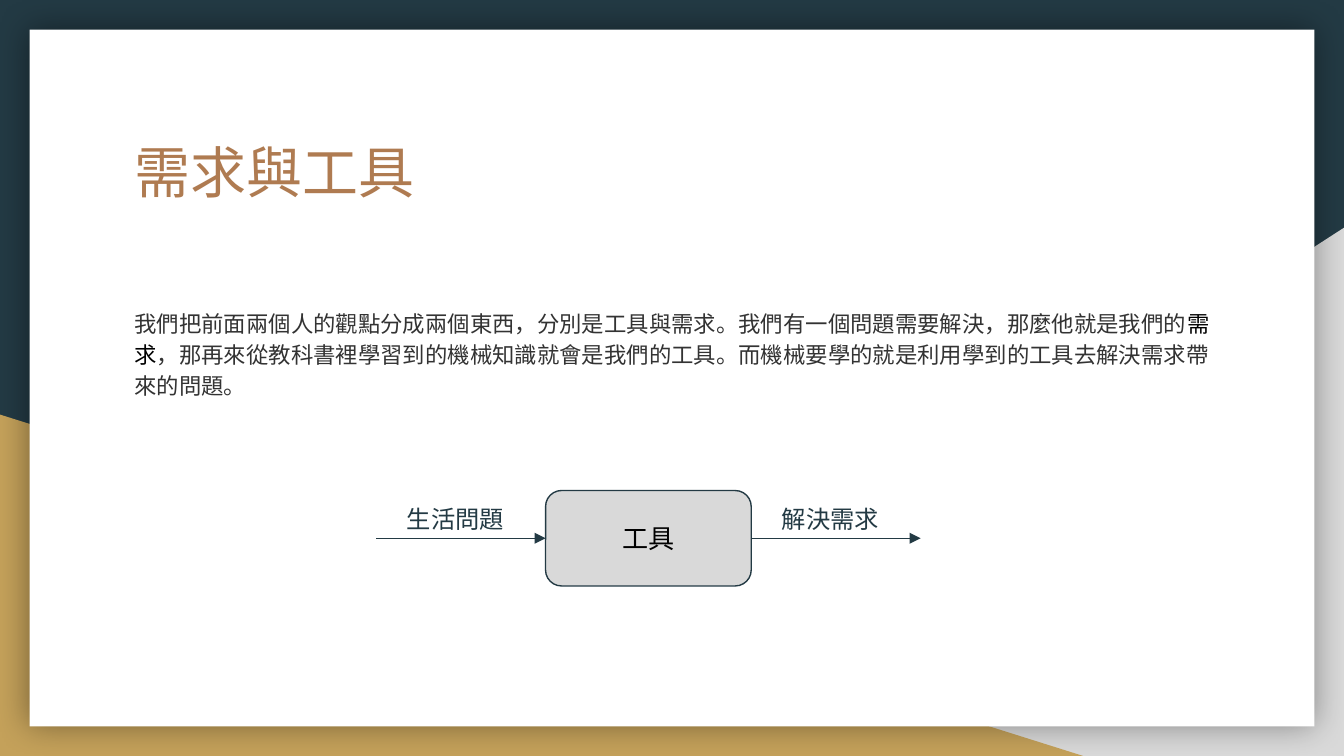
from lxml import etree
from pptx import Presentation
from pptx import util as u
from pptx.dml.color import RGBColor
from pptx.enum import shapes, text
from pptx.oxml import ns

NAVY = RGBColor(0x23, 0x3A, 0x44)
GREY = RGBColor(0xD9, 0xD9, 0xD9)
GOLD = RGBColor(0xC4, 0xA1, 0x5A)
WHITE = RGBColor(0xFF, 0xFF, 0xFF)
BRONZE = RGBColor(0xAF, 0x7B, 0x51)
CHARCOAL = RGBColor(0x33, 0x33, 0x33)
BLACK = RGBColor(0, 0, 0)
FONT = "Calibri"
MARGIN = u.Inches(0.1)
LINE_WIDTH = u.Pt(0.75)

TITLE = "需求與工具"
BODY = (
    ("我們把前面兩個人的觀點分成兩個東西，分別是工具與需求。我們有一個問題需要解決，那麼他就是我們的", CHARCOAL),
    ("需求", BLACK),
    ("，那再來從教科書裡學習到的機械知識就會是我們的工具。而機械要學的就是利用學到的工具去解決需求帶來的問題。", CHARCOAL),
)


def inches(*lengths):
    """Return the lengths as a tuple of Inches."""
    return tuple(u.Inches(length) for length in lengths)


def add_child(parent, tag, **attributes):
    """Append a drawing element and return it."""
    return etree.SubElement(parent, ns.qn(tag), attributes)


def format_frame(frame, anchor=text.MSO_ANCHOR.TOP, wrap=True):
    """Set the margins, anchor and wrapping of a text frame."""
    frame.margin_left = frame.margin_right = MARGIN
    frame.margin_top = frame.margin_bottom = MARGIN
    frame.auto_size = text.MSO_AUTO_SIZE.NONE
    frame.vertical_anchor = anchor
    frame.word_wrap = wrap


def format_runs(paragraph, size, color, align=text.PP_ALIGN.LEFT):
    """Set the alignment of a paragraph and the font of its runs."""
    paragraph.alignment = align
    for run in paragraph.runs:
        run.font.name = FONT
        run.font.size = u.Pt(size)
        run.font.color.rgb = color


def add_filled(slide, kind, box, color):
    """Add a plain filled shape without outline or shadow."""
    shape = slide.shapes.add_shape(kind, *box)
    shape.shadow.inherit = False
    shape.fill.solid()
    shape.fill.fore_color.rgb = color
    shape.line.fill.background()
    return shape


def add_backdrop(slide, box):
    """Draw the corner triangles and the white card with its soft shadow."""
    left, top, width, height = box
    triangle = shapes.MSO_SHAPE.RIGHT_TRIANGLE
    for w, h, color, flipped in ((6.08, 3.93, GREY, True), (8.06, 2.54, GOLD, False)):
        w, h = inches(w, h)
        x = left + width - w if flipped else left
        corner = add_filled(slide, triangle, (x, top + height - h, w, h), color)
        if flipped:
            corner._element.spPr.find(ns.qn("a:xfrm")).set("flipH", "1")
    gap = u.Inches(0.22)
    card_box = (left + gap, top + gap, width - 2 * gap, height - 2 * gap)
    card = add_filled(slide, shapes.MSO_SHAPE.RECTANGLE, card_box, WHITE)
    effects = card._element.spPr.find(ns.qn("a:effectLst"))
    shadow = add_child(effects, "a:outerShdw", blurRad=str(u.Pt(18)), dist="0",
                       dir="0", algn="ctr", rotWithShape="0")
    tint = add_child(shadow, "a:srgbClr", val="000000")
    add_child(tint, "a:alpha", val="40000")


def place_placeholder(slide, placeholder, box):
    """Move a placeholder to its box, in front of the backdrop."""
    placeholder.left, placeholder.top, placeholder.width, placeholder.height = box
    slide.shapes._spTree.append(placeholder._element)
    format_frame(placeholder.text_frame)


def fill_title(slide, box):
    """Fill the title placeholder."""
    place_placeholder(slide, slide.shapes.title, box)
    frame = slide.shapes.title.text_frame
    frame.text = TITLE
    format_runs(frame.paragraphs[0], 30, BRONZE)


def fill_body(slide, box):
    """Fill the body placeholder with one unbulleted paragraph."""
    body = slide.placeholders[1]
    place_placeholder(slide, body, box)
    paragraph = body.text_frame.paragraphs[0]
    properties = paragraph._p.get_or_add_pPr()
    properties.set("marL", "0")
    properties.set("indent", "0")
    add_child(properties, "a:buNone")
    paragraph.line_spacing = 1.15
    paragraph.space_before = u.Pt(0)
    paragraph.space_after = u.Pt(12)
    for words, _ in BODY:
        paragraph.add_run().text = words
    format_runs(paragraph, 12, CHARCOAL)
    for run, (_, color) in zip(paragraph.runs, BODY):
        run.font.color.rgb = color


def add_arrow(slide, start, end):
    """Add a straight arrow between two points."""
    arrow = slide.shapes.add_connector(shapes.MSO_CONNECTOR.STRAIGHT, *start, *end)
    arrow.line.color.rgb = NAVY
    arrow.line.width = LINE_WIDTH
    add_child(arrow.line._get_or_add_ln(), "a:tailEnd", type="triangle")
    add_child(arrow._element.spPr, "a:effectLst")
    return arrow


def add_label(slide, box, words):
    """Add the caption above an arrow."""
    frame = slide.shapes.add_textbox(*box).text_frame
    format_frame(frame)
    frame.text = words
    format_runs(frame.paragraphs[0], 13, NAVY)


def add_flow(slide, box):
    """Draw the tool box with an arrow going in and an arrow coming out."""
    left, top, width, height = box
    tool_width, label_width, label_height, inset = inches(1.53, 1.94, 0.42, 0.13)
    reach = (width - tool_width) // 2
    middle = top + height // 2
    right = left + width
    tool_left, tool_right = left + reach, right - reach

    tool_box = (tool_left, top, tool_width, height)
    tool = add_filled(slide, shapes.MSO_SHAPE.ROUNDED_RECTANGLE, tool_box, GREY)
    tool.line.color.rgb = NAVY
    tool.line.width = LINE_WIDTH
    format_frame(tool.text_frame, text.MSO_ANCHOR.MIDDLE)
    tool.text_frame.text = "工具"
    format_runs(tool.text_frame.paragraphs[0], 14, BLACK, text.PP_ALIGN.CENTER)

    arrow_in = add_arrow(slide, (left, middle), (tool_left, middle))
    arrow_in.end_connect(tool, 1)
    arrow_out = add_arrow(slide, (tool_right, middle), (right, middle))
    arrow_out.begin_connect(tool, 3)

    for x, words in ((tool_right, "解決需求"), (left, "生活問題")):
        add_label(slide, (x + inset, top, label_width, label_height), words)


def main():
    """Build the slide and save it."""
    presentation = Presentation()
    presentation.slide_width = u.Inches(10)
    presentation.slide_height = presentation.slide_width * 9 // 16
    slide = presentation.slides.add_slide(presentation.slide_layouts[1])
    slide.background.fill.solid()
    slide.background.fill.fore_color.rgb = NAVY
    add_backdrop(slide, (0, 0, presentation.slide_width, presentation.slide_height))
    fill_title(slide, inches(0.9, 0.92, 8.21, 1.04))
    fill_body(slide, inches(0.9, 2.18, 8.21, 2.68))
    add_flow(slide, inches(2.8, 3.65, 4.05, 0.71))
    presentation.save("out.pptx")


if __name__ == "__main__":
    main()
